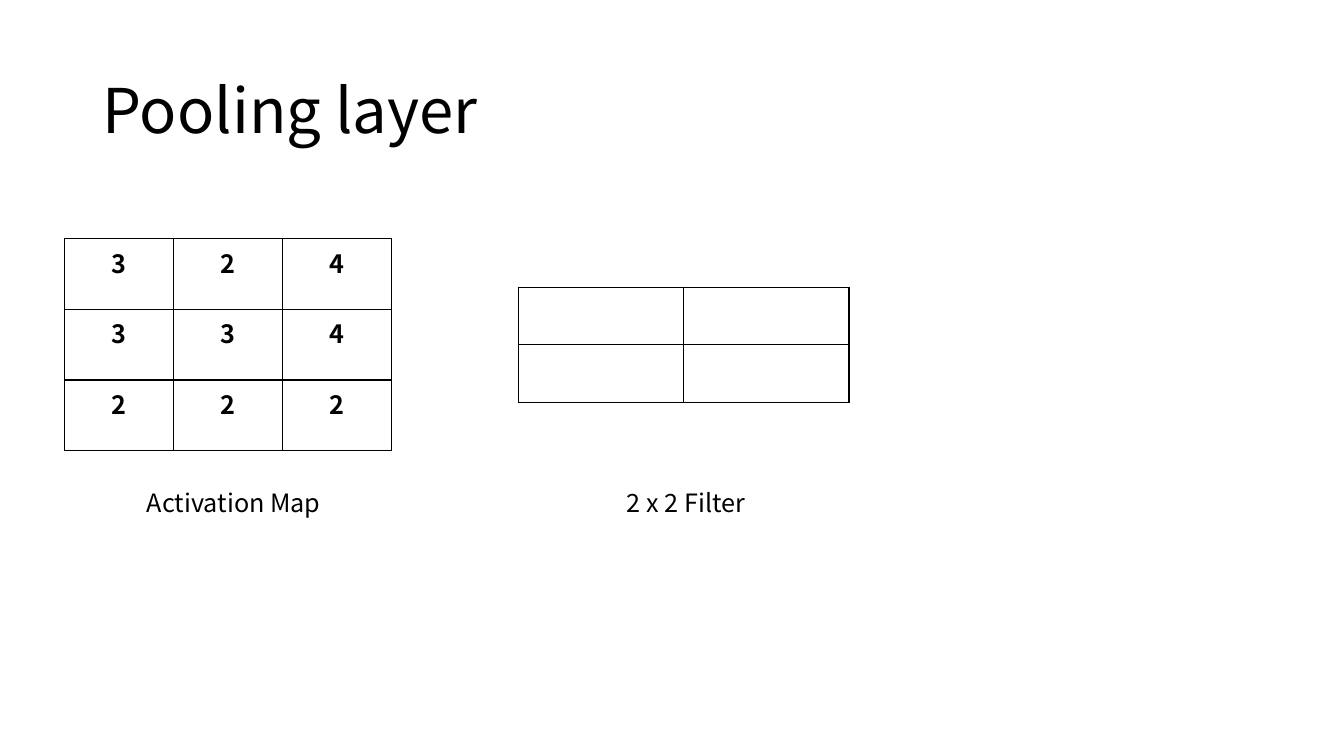
"""Build the pooling layer slide with an activation map and a 2 x 2 filter."""
from lxml import etree
from pptx import Presentation
from pptx import util as u
from pptx.dml.color import RGBColor
from pptx.enum import text
from pptx.oxml import ns

THEME = {
    "font": "Noto Sans CJK KR",
    "ink": "000000",
    "paper": "FFFFFF",
    "title_size": 44,
    "body_size": 18,
    "border_width": 1,
}


def write(text_frame, content, size, bold=False):
    text_frame.text = content
    paragraph = text_frame.paragraphs[0]
    font = paragraph.runs[0].font if paragraph.runs else paragraph.font
    font.name = THEME["font"]
    font.size = u.Pt(size)
    font.bold = bold
    font.color.rgb = RGBColor.from_string(THEME["ink"])
    return paragraph


def add_grid(slide, left, top, column_width, row_height, values):
    rows, columns = len(values), len(values[0])
    table = slide.shapes.add_table(
        rows, columns, u.Inches(left), u.Inches(top),
        u.Inches(column_width * columns), u.Inches(row_height * rows)).table
    table.first_row = table.horz_banding = False
    for column in table.columns:
        column.width = u.Inches(column_width)
    for row, row_values in zip(table.rows, values):
        row.height = u.Inches(row_height)
        for cell, value in zip(row.cells, row_values):
            paragraph = write(cell.text_frame, value, THEME["body_size"], bold=True)
            paragraph.alignment = text.PP_ALIGN.CENTER
            cell.fill.solid()
            cell.fill.fore_color.rgb = RGBColor.from_string(THEME["paper"])
            properties = cell._tc.get_or_add_tcPr()
            for position, side in enumerate(("lnL", "lnR", "lnT", "lnB")):
                border = etree.Element(ns.qn(f"a:{side}"), w=str(u.Pt(THEME["border_width"])))
                fill = etree.SubElement(border, ns.qn("a:solidFill"))
                etree.SubElement(fill, ns.qn("a:srgbClr"), val=THEME["ink"])
                properties.insert(position, border)


presentation = Presentation()
presentation.slide_width = u.Inches(13.33)
presentation.slide_height = u.Inches(7.5)
slide = presentation.slides.add_slide(presentation.slide_layouts[6])

title = slide.shapes.add_textbox(u.Inches(0.92), u.Inches(0.4), u.Inches(11.5), u.Inches(1.45))
title.text_frame.word_wrap = True
title.text_frame.vertical_anchor = text.MSO_ANCHOR.MIDDLE
write(title.text_frame, "Pooling layer", THEME["title_size"]).line_spacing = 0.9

activation_map = [["3", "2", "4"], ["3", "3", "4"], ["2", "2", "2"]]
pooling_filter = [["", ""], ["", ""]]
add_grid(slide, 0.64, 2.37, 1.08, 0.7, activation_map)
add_grid(slide, 5.14, 2.85, 1.64, 0.57, pooling_filter)

for caption, left, width in (("Activation Map", 1.36, 1.93), ("2 x 2 Filter", 6.12, 1.42)):
    label = slide.shapes.add_textbox(u.Inches(left), u.Inches(4.79), u.Inches(width), u.Inches(0.4))
    label.text_frame.word_wrap = False
    label.text_frame.auto_size = text.MSO_AUTO_SIZE.SHAPE_TO_FIT_TEXT
    write(label.text_frame, caption, THEME["body_size"])

presentation.save("out.pptx")
